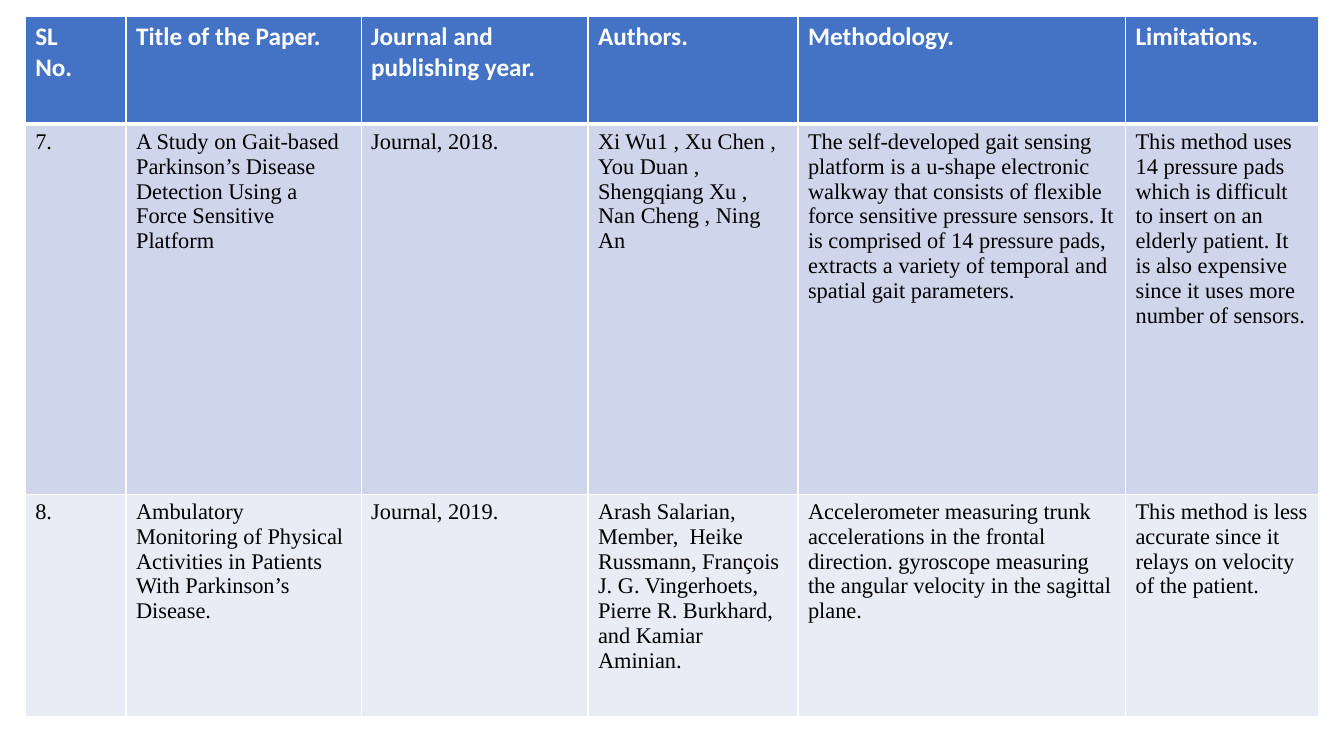
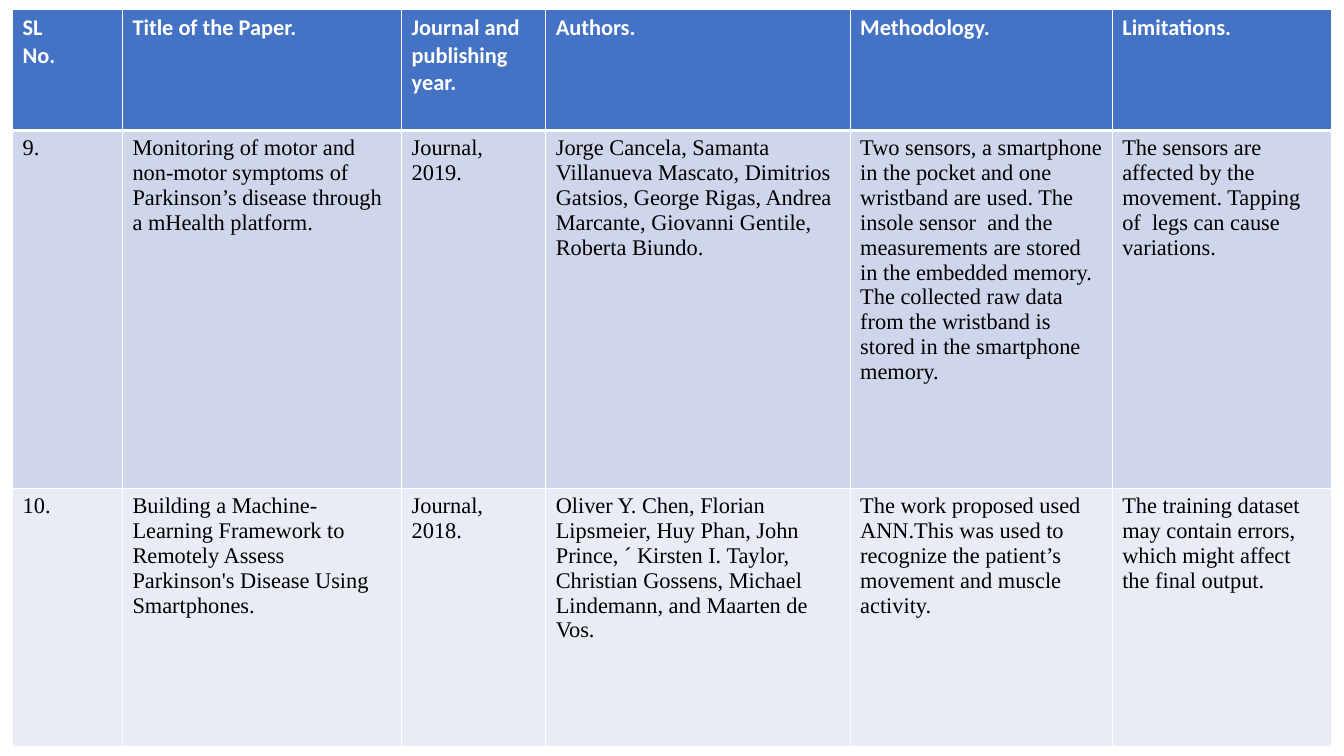
from dataclasses import dataclass

from lxml.etree import SubElement
from pptx import Presentation
from pptx.dml.color import RGBColor
from pptx.oxml.ns import qn
from pptx.util import Inches, Pt


@dataclass(frozen=True)
class Theme:
    header_fill: str = "4472C4"
    band_fills: tuple = ("CFD5EA", "E9EBF5")
    border: str = "FFFFFF"
    header_text: str = "FFFFFF"
    body_text: str = "000000"
    header_font: str = "Calibri"
    body_font: str = "Times New Roman"
    body_size: int = 16
    thin: int = 1
    thick: int = 3


THEME = Theme()
GRID_COLUMNS, GRID_ROWS = 160, 90
SLIDE_WIDTH, SLIDE_HEIGHT = Inches(40 / 3), Inches(7.5)

HEADINGS = (
    "SL\nNo.",
    "Title of the Paper.",
    "Journal and publishing year.",
    "Authors.",
    "Methodology.",
    "Limitations.",
)

SURVEY_PAGES = (
    {
        "origin": (3, 2),
        "columns": (12, 28, 27, 25, 39, 23),
        "rows": (12.8, 44.04, 26.52),
        "header_size": 18,
        "papers": (
            (
                "7.",
                "A Study on Gait-based Parkinson’s Disease Detection Using a Force Sensitive Platform",
                "Journal, 2018.",
                "Xi Wu1 , Xu Chen , You Duan , Shengqiang Xu , Nan Cheng , Ning An",
                "The self-developed gait sensing platform is a u-shape electronic walkway that consists of "
                "flexible force sensitive pressure sensors. It is comprised of 14 pressure pads, extracts a "
                "variety of temporal and spatial gait parameters.",
                "This method uses 14 pressure pads which is difficult to insert on an elderly patient. "
                "It is also expensive since it uses more number of sensors.",
            ),
            (
                "8.",
                "Ambulatory Monitoring of Physical Activities in Patients With Parkinson’s Disease.",
                "Journal, 2019.",
                "Arash Salarian, Member,  Heike Russmann, François J. G. Vingerhoets, "
                "Pierre R. Burkhard, and Kamiar Aminian.",
                "Accelerometer measuring trunk accelerations in the frontal direction. "
                "gyroscope measuring the angular velocity in the sagittal plane.",
                "This method is less accurate since it relays on velocity of the patient.",
            ),
        ),
    },
    {
        "origin": (1.5, 1.1),
        "columns": (13.08, 33.24, 17.16, 36.24, 31.2, 26.16),
        "rows": (14.45, 42.6, 30.72),
        "header_size": 16,
        "papers": (
            (
                "9.",
                "Monitoring of motor and non-motor symptoms of Parkinson’s disease through a mHealth platform.",
                "Journal, 2019.",
                "Jorge Cancela, Samanta Villanueva Mascato, Dimitrios Gatsios, George Rigas, "
                "Andrea Marcante, Giovanni Gentile, Roberta Biundo.",
                "Two sensors, a smartphone in the pocket and one wristband are used. The insole sensor  and "
                "the measurements are stored in the embedded memory. The collected raw data from the "
                "wristband is stored in the smartphone memory.",
                "The sensors are affected by the movement. Tapping of  legs can cause variations.",
            ),
            (
                "10.",
                "Building a Machine-Learning Framework to Remotely Assess Parkinson's Disease Using Smartphones.",
                "Journal, 2018.",
                "Oliver Y. Chen, Florian Lipsmeier, Huy Phan, John Prince, ´ Kirsten I. Taylor, "
                "Christian Gossens, Michael Lindemann, and Maarten de Vos.",
                "The work proposed used ANN.This was used to recognize the patient’s movement and muscle activity.",
                "The training dataset may contain errors, which might affect the final output.",
            ),
        ),
    },
)


def across(columns):
    return round(SLIDE_WIDTH * columns / GRID_COLUMNS)


def down(rows):
    return round(SLIDE_HEIGHT * rows / GRID_ROWS)


def set_borders(cell, top, bottom):
    properties = cell._tc.get_or_add_tcPr()
    widths = {"a:lnL": THEME.thin, "a:lnR": THEME.thin, "a:lnT": top, "a:lnB": bottom}
    for tag, width in widths.items():
        line = SubElement(properties, qn(tag), w=str(Pt(width)))
        fill = SubElement(line, qn("a:solidFill"))
        SubElement(fill, qn("a:srgbClr"), val=THEME.border)


def write_cell(cell, text, size, row_index):
    is_header = row_index == 0
    set_borders(
        cell,
        top=THEME.thick if row_index == 1 else THEME.thin,
        bottom=THEME.thick if is_header else THEME.thin,
    )
    band = THEME.band_fills[(row_index - 1) % len(THEME.band_fills)]
    cell.fill.solid()
    cell.fill.fore_color.rgb = RGBColor.from_string(THEME.header_fill if is_header else band)
    cell.text_frame.text = text
    for paragraph in cell.text_frame.paragraphs:
        for run in paragraph.runs:
            run.font.name = THEME.header_font if is_header else THEME.body_font
            run.font.size = Pt(size)
            run.font.bold = is_header
            run.font.color.rgb = RGBColor.from_string(THEME.header_text if is_header else THEME.body_text)


def add_survey_table(slide, origin, columns, rows, header_size, papers):
    left, top = origin
    table = slide.shapes.add_table(
        len(rows), len(columns), across(left), down(top), across(sum(columns)), down(sum(rows))
    ).table
    for column, width in zip(table.columns, columns):
        column.width = across(width)
    for row, height in zip(table.rows, rows):
        row.height = down(height)
    for row_index, texts in enumerate((HEADINGS, *papers)):
        size = THEME.body_size if row_index else header_size
        for column_index, text in enumerate(texts):
            write_cell(table.cell(row_index, column_index), text, size, row_index)


def main():
    presentation = Presentation()
    presentation.slide_width = SLIDE_WIDTH
    presentation.slide_height = SLIDE_HEIGHT
    for page in SURVEY_PAGES:
        slide = presentation.slides.add_slide(presentation.slide_layouts[6])
        add_survey_table(slide, **page)
    presentation.save("out.pptx")


if __name__ == "__main__":
    main()
